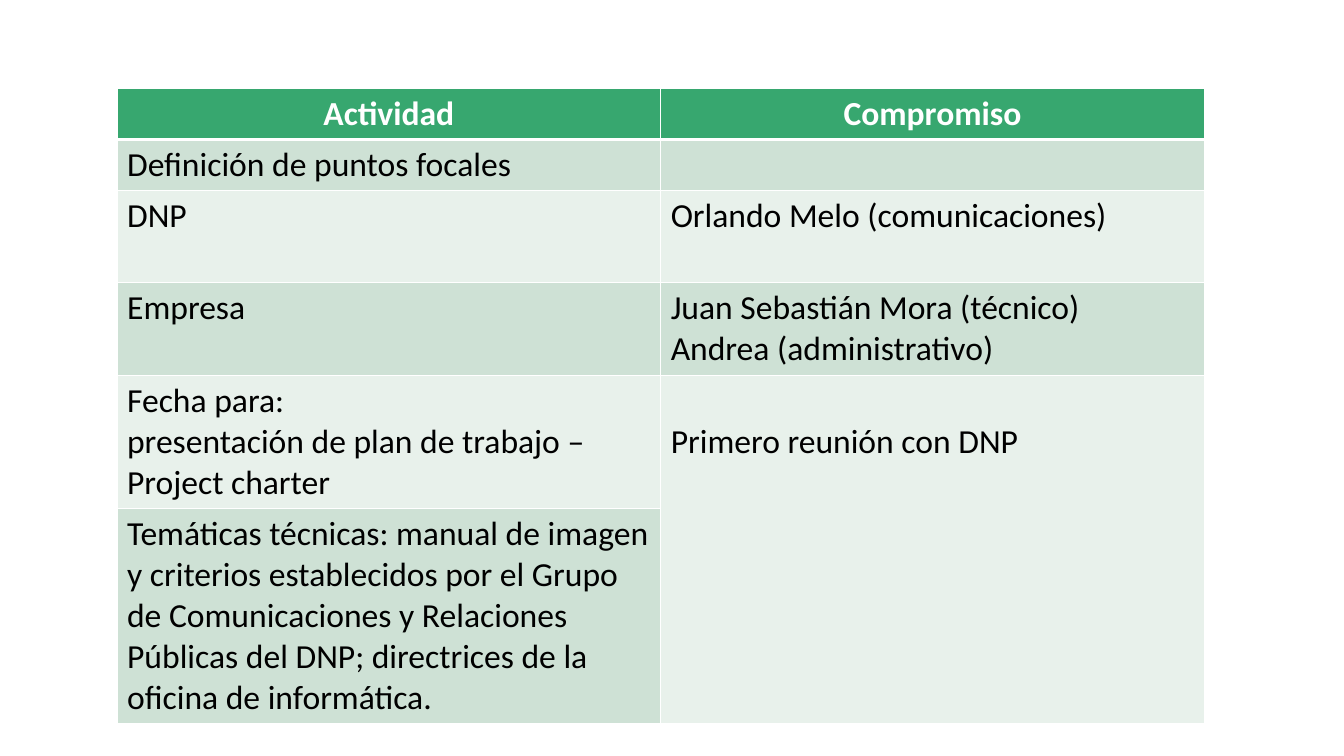
from dataclasses import dataclass

from lxml.etree import SubElement
from pptx import Presentation
from pptx.dml.color import RGBColor
from pptx.enum.text import PP_ALIGN
from pptx.oxml.ns import qn
from pptx.util import Cm, Pt

ROWS = [
    ("Actividad", "Compromiso"),
    ("Definición de puntos focales", ""),
    ("DNP", "Orlando Melo (comunicaciones)"),
    ("Empresa", "Juan Sebastián Mora (técnico)\nAndrea (administrativo)"),
    ("Fecha para:\npresentación de plan de trabajo – Project charter", "Primero reunión con DNP"),
    ("Temáticas técnicas: manual de imagen y criterios establecidos por el Grupo "
     "de Comunicaciones y Relaciones Públicas del DNP; directrices de la oficina "
     "de informática.", ""),
]
LINES_PER_ROW = [1, 1, 2, 2, 3, 5]
MEETING_ROW = 4


@dataclass(frozen=True)
class Theme:
    font: str = "Calibri"
    size: int = 24
    header: str = "37A76F"
    bands: tuple = ("E8F1EB", "CEE1D5")
    header_text: str = "FFFFFF"
    body_text: str = "000000"
    border: str = "FFFFFF"
    thin: int = 1
    thick: int = 3


THEME = Theme()
LEFT, TOP, COLUMN_WIDTH = 2.95, 2.22, 13.7
LINE_HEIGHT, MARGIN = 1.03, 0.13


def draw_borders(cell, row):
    properties = cell._tc.get_or_add_tcPr()
    widths = {
        "a:lnL": THEME.thin,
        "a:lnR": THEME.thin,
        "a:lnT": THEME.thick if row == 1 else THEME.thin,
        "a:lnB": THEME.thick if row == 0 else THEME.thin,
    }
    for side, width in widths.items():
        line = SubElement(properties, qn(side), w=str(Pt(width)))
        fill = SubElement(line, qn("a:solidFill"))
        SubElement(fill, qn("a:srgbClr"), val=THEME.border)


def format_cell(cell, row, text):
    is_header = row == 0
    draw_borders(cell, row)
    cell.fill.solid()
    cell.fill.fore_color.rgb = RGBColor.from_string(THEME.header if is_header else THEME.bands[row % 2])
    cell.margin_top = cell.margin_bottom = Cm(MARGIN)
    cell.text = text
    for para in cell.text_frame.paragraphs:
        para.alignment = PP_ALIGN.CENTER if is_header else PP_ALIGN.LEFT
        para.font.name = THEME.font
        para.font.size = Pt(THEME.size)
        para.font.bold = is_header
        para.font.color.rgb = RGBColor.from_string(THEME.header_text if is_header else THEME.body_text)


def main():
    deck = Presentation()
    deck.slide_width, deck.slide_height = Cm(33.87), Cm(19.05)
    page = deck.slides.add_slide(deck.slide_layouts[6])
    heights = [lines * LINE_HEIGHT + 2 * MARGIN for lines in LINES_PER_ROW]
    table = page.shapes.add_table(
        len(ROWS), 2, Cm(LEFT), Cm(TOP), Cm(2 * COLUMN_WIDTH), Cm(sum(heights))
    ).table
    for column in table.columns:
        column.width = Cm(COLUMN_WIDTH)
    for row, (texts, height) in enumerate(zip(ROWS, heights)):
        table.rows[row].height = Cm(height)
        for column, text in enumerate(texts):
            format_cell(table.cell(row, column), row, text)
    meeting = table.cell(MEETING_ROW, 1)
    meeting.merge(table.cell(MEETING_ROW + 1, 1))
    meeting.margin_top = Cm(MARGIN + LINE_HEIGHT)
    deck.save("out.pptx")


if __name__ == "__main__":
    main()
